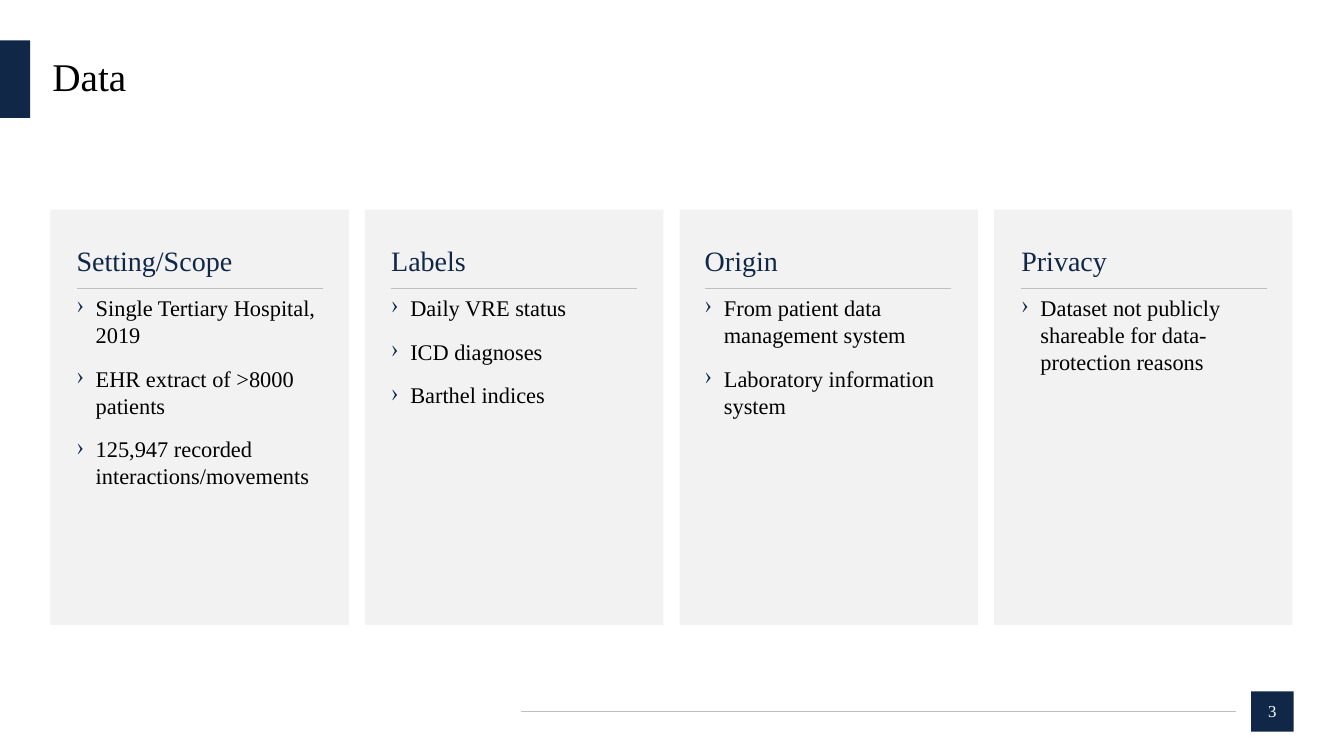
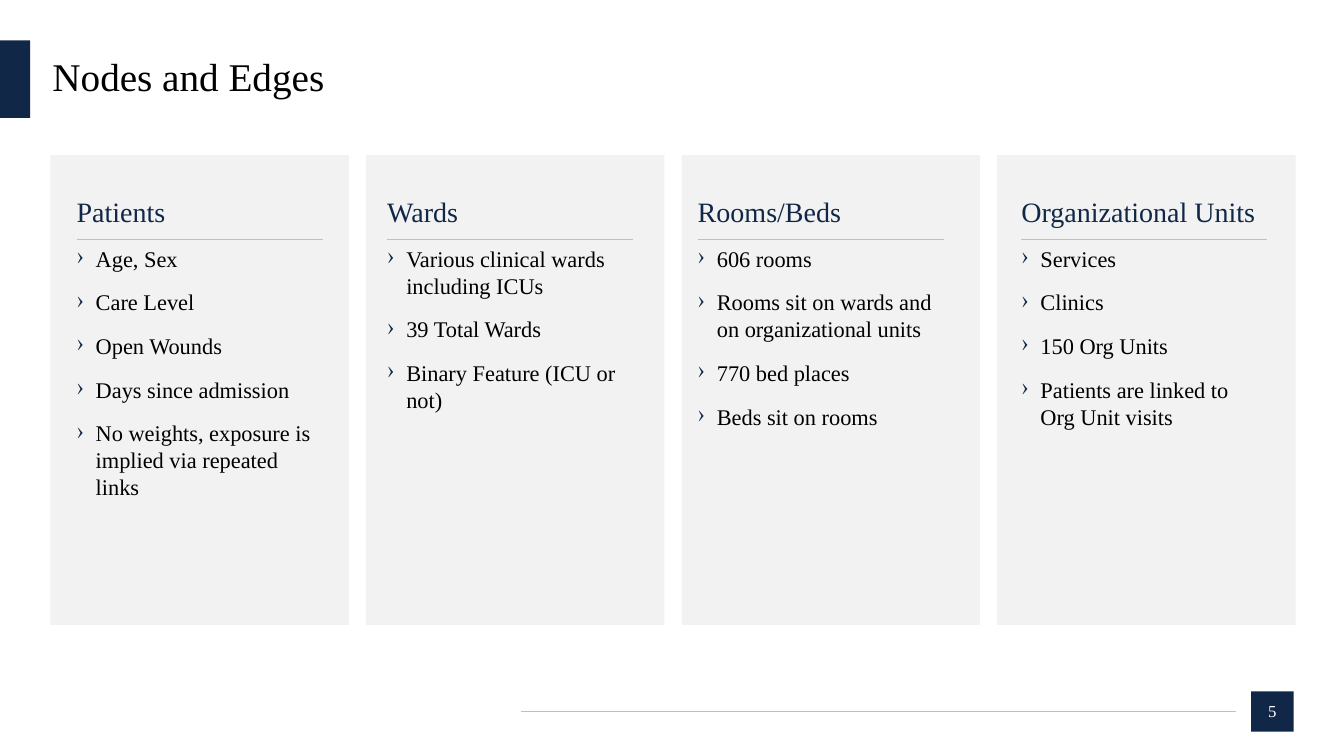
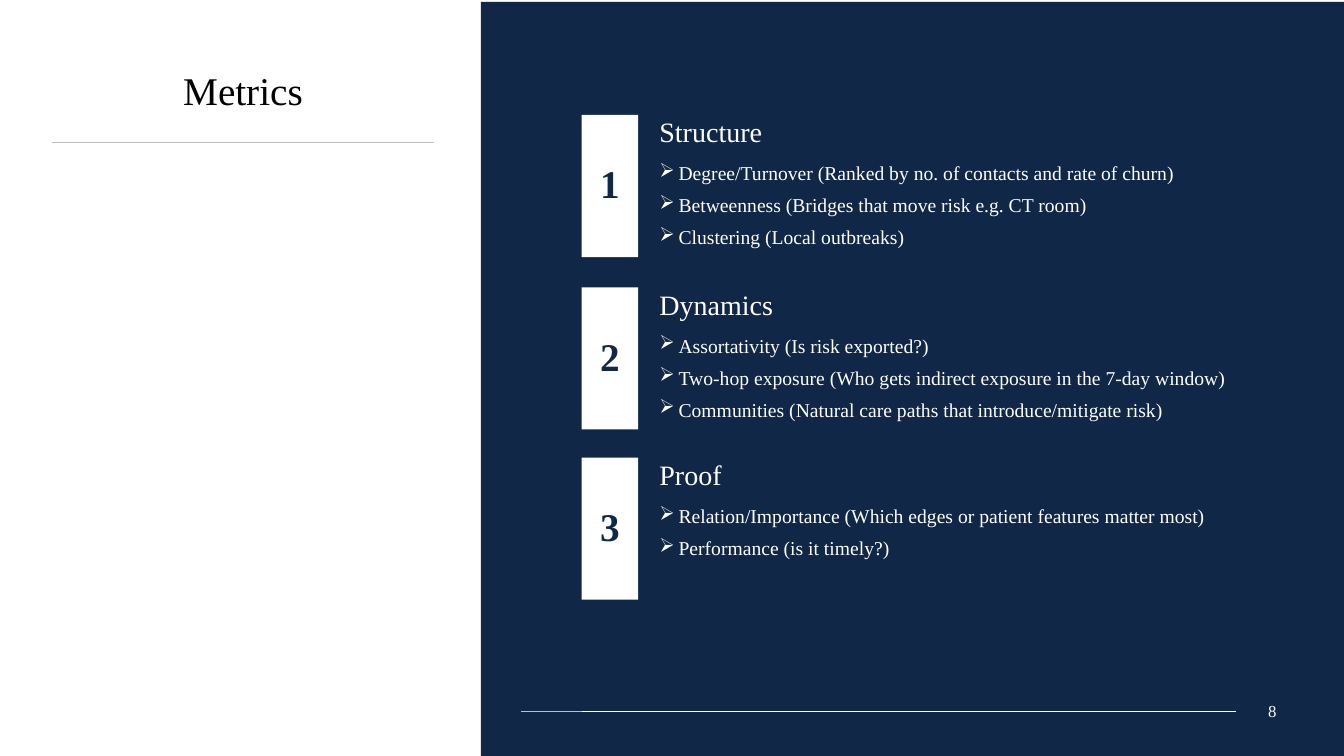
from lxml.etree import SubElement
from pptx import Presentation
from pptx.dml.color import RGBColor
from pptx.enum.shapes import MSO_CONNECTOR, MSO_SHAPE
from pptx.enum.text import MSO_ANCHOR, PP_ALIGN
from pptx.oxml.ns import qn
from pptx.util import Inches, Pt

FONT = "Times New Roman"
HUES = {"navy": "102747", "white": "FFFFFF", "black": "000000",
        "panel": "F2F2F2", "rule": "BFBFBF"}
BADGE = (12.41, 6.86, 0.42, 0.4)

# Each card: heading, left edge of its text, bullets
DATA = [
    ("Setting/Scope", 0.76, ["Single Tertiary Hospital, 2019",
                             "EHR extract of >8000 patients",
                             "125,947 recorded interactions/movements"]),
    ("Labels", 3.88, ["Daily VRE status", "ICD diagnoses", "Barthel indices"]),
    ("Origin", 6.99, ["From patient data management system",
                      "Laboratory information system"]),
    ("Privacy", 10.13, ["Dataset not publicly shareable for data-protection reasons"]),
]
NODES = [
    ("Patients", 0.76, ["Age, Sex", "Care Level", "Open Wounds",
                        "Days since admission",
                        "No weights, exposure is implied via repeated links"]),
    ("Wards", 3.84, ["Various clinical wards including ICUs", "39 Total Wards",
                     "Binary Feature (ICU or not)"]),
    ("Rooms/Beds", 6.92, ["606 rooms",
                          "Rooms sit on wards and on organizational units",
                          "770 bed places", "Beds sit on rooms"]),
    ("Organizational Units", 10.13, ["Services", "Clinics", "150 Org Units",
                                     "Patients are linked to Org Unit visits"]),
]
# Each step: top edge, heading, bullets
STEPS = [
    (1.14, "Structure",
     ["Degree/Turnover (Ranked by no. of contacts and rate of churn)",
      "Betweenness (Bridges that move risk e.g. CT room)",
      "Clustering (Local outbreaks)"]),
    (2.85, "Dynamics",
     ["Assortativity (Is risk exported?)",
      "Two-hop exposure (Who gets indirect exposure in the 7-day window)",
      "Communities (Natural care paths that introduce/mitigate risk)"]),
    (4.54, "Proof",
     ["Relation/Importance (Which edges or patient features matter most)",
      "Performance (is it timely?)"]),
]


def color(name):
    return RGBColor.from_string(HUES[name])


def style(para, size, hue, bold=False):
    para.font.name = FONT
    para.font.size = Pt(size)
    para.font.bold = bold
    para.font.color.rgb = color(hue)


def add_rect(slide, box, hue):
    rect = slide.shapes.add_shape(MSO_SHAPE.RECTANGLE, *map(Inches, box))
    rect.shadow.inherit = False
    rect.fill.solid()
    rect.fill.fore_color.rgb = color(hue)
    rect.line.fill.background()
    return rect


def add_line(slide, left, right, top, hue="rule"):
    line = slide.shapes.add_connector(
        MSO_CONNECTOR.STRAIGHT, Inches(left), Inches(top), Inches(right), Inches(top))
    line.line.color.rgb = color(hue)
    line.line.width = Pt(0.5)
    SubElement(line._element.spPr, qn("a:effectLst"))


def add_box(slide, box):
    """Add a wrapping text box without margins and return its frame."""
    frame = slide.shapes.add_textbox(*map(Inches, box)).text_frame
    frame.word_wrap = True
    frame.margin_left = frame.margin_right = 0
    frame.margin_top = frame.margin_bottom = 0
    return frame


def label(frame, text, size, hue, align=PP_ALIGN.CENTER, bold=False):
    """Set one vertically centred line of text."""
    frame.vertical_anchor = MSO_ANCHOR.MIDDLE
    para = frame.paragraphs[0]
    para.text = text
    para.alignment = align
    para.line_spacing = 0.9
    style(para, size, hue, bold)


def bullet(para, mark, hue):
    props = para._p.get_or_add_pPr()
    props.set("marL", str(Inches(0.19)))
    props.set("indent", str(-Inches(0.19)))
    tint = SubElement(props, qn("a:buClr"))
    SubElement(tint, qn("a:srgbClr")).set("val", HUES[hue])
    SubElement(props, qn("a:buChar")).set("char", mark)


def add_list(slide, box, head, items, size, mark, hues, gaps):
    """Add a heading and bullets; hues and gaps are (heading, bullets)."""
    frame = add_box(slide, box)
    para = frame.paragraphs[0]
    para.text = head
    para.space_after = Pt(gaps[0])
    style(para, 20, hues[0])
    for item in items:
        para = frame.add_paragraph()
        para.text = item
        bullet(para, mark, hues[0])
        para.space_after = Pt(gaps[1])
        style(para, size, hues[1])


def add_cards(prs, title, page, cards, top, step, inset):
    slide = prs.slides.add_slide(prs.slide_layouts[6])
    label(add_box(slide, (0.52, 0.4, 12.31, 0.77)), title, 28, "black", PP_ALIGN.LEFT)
    add_rect(slide, (0, 0.4, 0.3, 0.77), "navy")
    label(add_rect(slide, BADGE, "navy").text_frame, page, 12, "white")
    add_line(slide, 5.17, 12.26, 7.06)
    head_top = top + inset
    for i, (head, left, items) in enumerate(cards):
        add_rect(slide, (0.5 + i * step, top, 2.96, 6.2 - top), "panel")
        add_list(slide, (left, head_top, 2.44, 2.9), head, items, 16, "›",
                 ("navy", "black"), (12, 12))
        add_line(slide, left, left + 2.44, head_top + 0.44)


def add_steps(prs, title, page, steps):
    slide = prs.slides.add_slide(prs.slide_layouts[6])
    add_rect(slide, (4.77, 0.02, 8.57, 7.5), "navy")
    label(add_box(slide, BADGE), page, 12, "white")
    add_line(slide, 5.77, 12.26, 7.06, "white")
    add_line(slide, 5.17, 5.77, 7.06)
    label(add_box(slide, (0.52, 0.71, 3.78, 0.43)), title, 28, "black")
    add_line(slide, 0.52, 4.3, 1.41)
    for i, (top, head, items) in enumerate(steps, 1):
        tile = add_rect(slide, (5.77, top, 0.56, 1.41), "white")
        label(tile.text_frame, str(i), 28, "navy", bold=True)
        add_list(slide, (6.54, top, 5.87, 1.35), head, items, 14, "➢",
                 ("white", "white"), (9, 6))


def main():
    prs = Presentation()
    prs.slide_width, prs.slide_height = Inches(13.33), Inches(7.5)
    add_cards(prs, "Data", "3", DATA, 2.08, 3.12, 0.34)
    add_cards(prs, "Nodes and Edges", "5", NODES, 1.54, 3.13, 0.39)
    add_steps(prs, "Metrics", "8", STEPS)
    prs.save("out.pptx")


if __name__ == "__main__":
    main()
